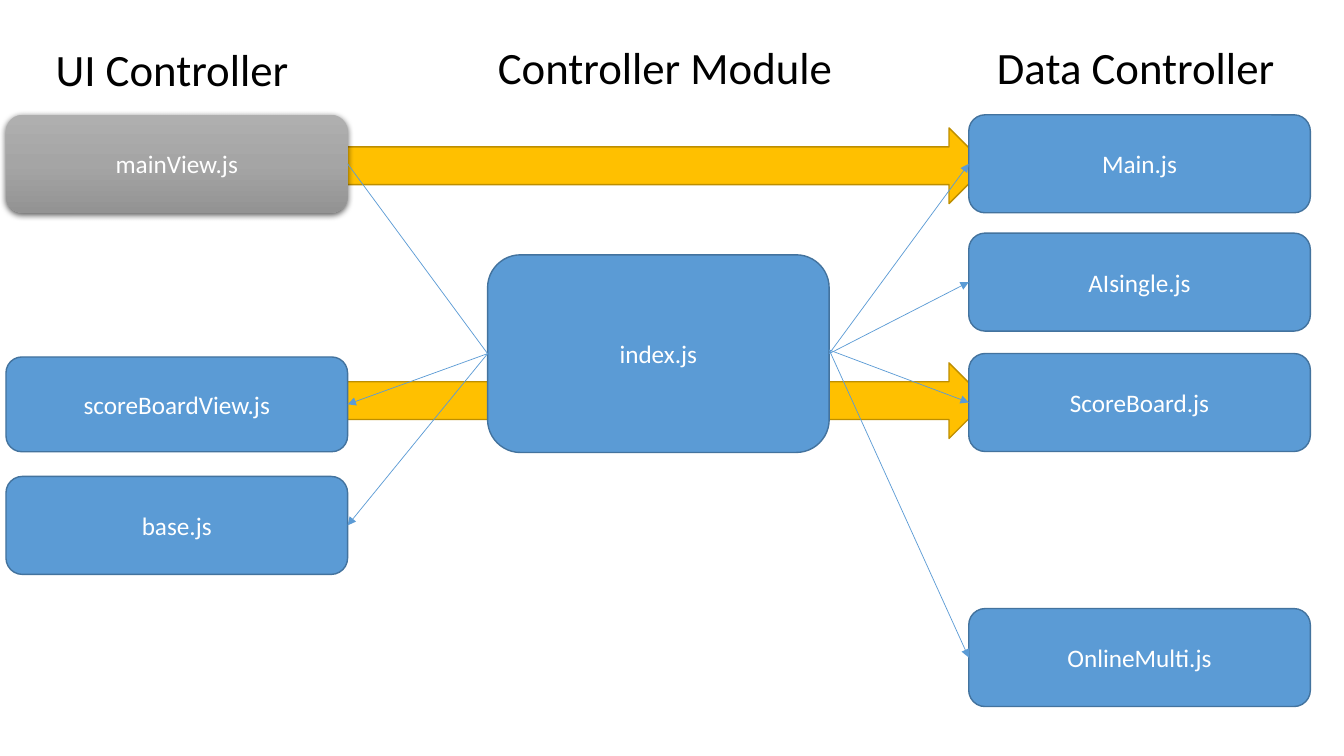
from copy import deepcopy

from lxml.etree import SubElement
from pptx import Presentation
from pptx.dml.color import RGBColor
from pptx.enum.shapes import MSO_CONNECTOR, MSO_SHAPE
from pptx.enum.text import MSO_ANCHOR, MSO_AUTO_SIZE, PP_ALIGN
from pptx.oxml.ns import qn
from pptx.util import Pt

COLORS = {
    "module": "5B9BD5", "module_edge": "43739E",
    "flow": "FFC000", "flow_edge": "BD8E00",
    "gray_top": "AFAFAF", "gray_mid": "A5A5A5", "gray_bottom": "939393",
    "heading": "000000", "label": "FFFFFF", "shadow": "000000",
}


def write(frame, text, size=18, color="label", align=PP_ALIGN.CENTER, anchor=MSO_ANCHOR.MIDDLE):
    frame.word_wrap = True
    frame.vertical_anchor = anchor
    paragraph = frame.paragraphs[0]
    paragraph.alignment = align
    run = paragraph.add_run()
    run.text = text
    run.font.name = "Calibri"
    run.font.size = Pt(size)
    run.font.color.rgb = RGBColor.from_string(COLORS[color])


def add_block(preset, left, top, width, height, fill):
    block = slide.shapes.add_shape(preset, Pt(left), Pt(top), Pt(width), Pt(height))
    block.shadow.inherit = False
    block.fill.solid()
    block.fill.fore_color.rgb = RGBColor.from_string(COLORS[fill])
    block.line.color.rgb = RGBColor.from_string(COLORS[fill + "_edge"])
    block.line.width = Pt(1)
    return block


presentation = Presentation()
presentation.slide_width = Pt(960)
presentation.slide_height = Pt(540)
slide = presentation.slides.add_slide(presentation.slide_layouts[6])

UI_LEFT, INDEX_LEFT, DATA_LEFT = 4.3, 348.3, 692
MODULE_WIDTH, MODULE_HEIGHT = 244, 70

for flow_top in (91.4, 259.2):
    add_block(MSO_SHAPE.RIGHT_ARROW, 220.3, flow_top, 484.6, 54, "flow")

modules = {}
for name, left, top, height in (
    ("index.js", INDEX_LEFT, 182, 141.2),
    ("Main.js", DATA_LEFT, 82, MODULE_HEIGHT),
    ("mainView.js", UI_LEFT, 82, MODULE_HEIGHT),
    ("base.js", UI_LEFT, 340.3, MODULE_HEIGHT),
    ("AIsingle.js", DATA_LEFT, 166.5, MODULE_HEIGHT),
    ("ScoreBoard.js", DATA_LEFT, 252.5, MODULE_HEIGHT),
    ("scoreBoardView.js", UI_LEFT, 255, 67.7),
    ("OnlineMulti.js", DATA_LEFT, 434.7, MODULE_HEIGHT),
):
    modules[name] = add_block(MSO_SHAPE.ROUNDED_RECTANGLE, left, top, MODULE_WIDTH, height, "module")
    write(modules[name].text_frame, name)

main_view = modules["mainView.js"]
main_view.line.fill.background()
main_view.fill.gradient()
main_view.fill.gradient_angle = 270
first_stop = main_view.fill.gradient_stops[0]
stop_list = main_view.element.spPr.find(qn("a:gradFill")).find(qn("a:gsLst"))
stop_list.insert(1, deepcopy(stop_list[0]))
for stop, position, color in zip(
    main_view.fill.gradient_stops, (0, 0.5, 1), ("gray_top", "gray_mid", "gray_bottom")
):
    stop.position = position
    stop.color.rgb = RGBColor.from_string(COLORS[color])
effects = main_view.element.spPr.find(qn("a:effectLst"))
shadow = SubElement(
    effects, qn("a:outerShdw"), blurRad=str(Pt(4.5)), dist=str(Pt(1.5)),
    dir="5400000", algn="ctr", rotWithShape="0",
)
shadow_color = SubElement(shadow, qn("a:srgbClr"), val=COLORS["shadow"])
SubElement(shadow_color, qn("a:alpha"), val="63000")

for heading, left, top, width in (
    ("UI Controller", 32.6, 26.2, 231),
    ("Data Controller", 705, 25, 231),
    ("Controller Module", 348.5, 25, 272),
):
    heading_box = slide.shapes.add_textbox(Pt(left), Pt(top), Pt(width), Pt(46))
    write(heading_box.text_frame, heading, size=32, color="heading",
          align=PP_ALIGN.LEFT, anchor=MSO_ANCHOR.TOP)
    heading_box.text_frame.auto_size = MSO_AUTO_SIZE.SHAPE_TO_FIT_TEXT

LEFT_SIDE, RIGHT_SIDE = 1, 3
for target, index_side, target_side, start_at_middle, has_arrowhead in (
    ("Main.js", RIGHT_SIDE, LEFT_SIDE, True, True),
    ("AIsingle.js", RIGHT_SIDE, LEFT_SIDE, True, True),
    ("ScoreBoard.js", RIGHT_SIDE, LEFT_SIDE, False, True),
    ("OnlineMulti.js", RIGHT_SIDE, LEFT_SIDE, False, True),
    ("mainView.js", LEFT_SIDE, RIGHT_SIDE, True, False),
    ("scoreBoardView.js", LEFT_SIDE, RIGHT_SIDE, True, True),
    ("base.js", LEFT_SIDE, RIGHT_SIDE, True, True),
):
    link = slide.shapes.add_connector(
        MSO_CONNECTOR.STRAIGHT, Pt(INDEX_LEFT + MODULE_WIDTH), Pt(250), Pt(DATA_LEFT), Pt(250)
    )
    if start_at_middle:
        link.begin_connect(modules["index.js"], index_side)
    link.end_connect(modules[target], target_side)
    link.line.color.rgb = RGBColor.from_string(COLORS["module"])
    link.line.width = Pt(0.5)
    properties = link.line.color and link.element.spPr
    if has_arrowhead:
        SubElement(properties.find(qn("a:ln")), qn("a:tailEnd"), type="triangle")
    SubElement(properties, qn("a:effectLst"))

presentation.save("out.pptx")
